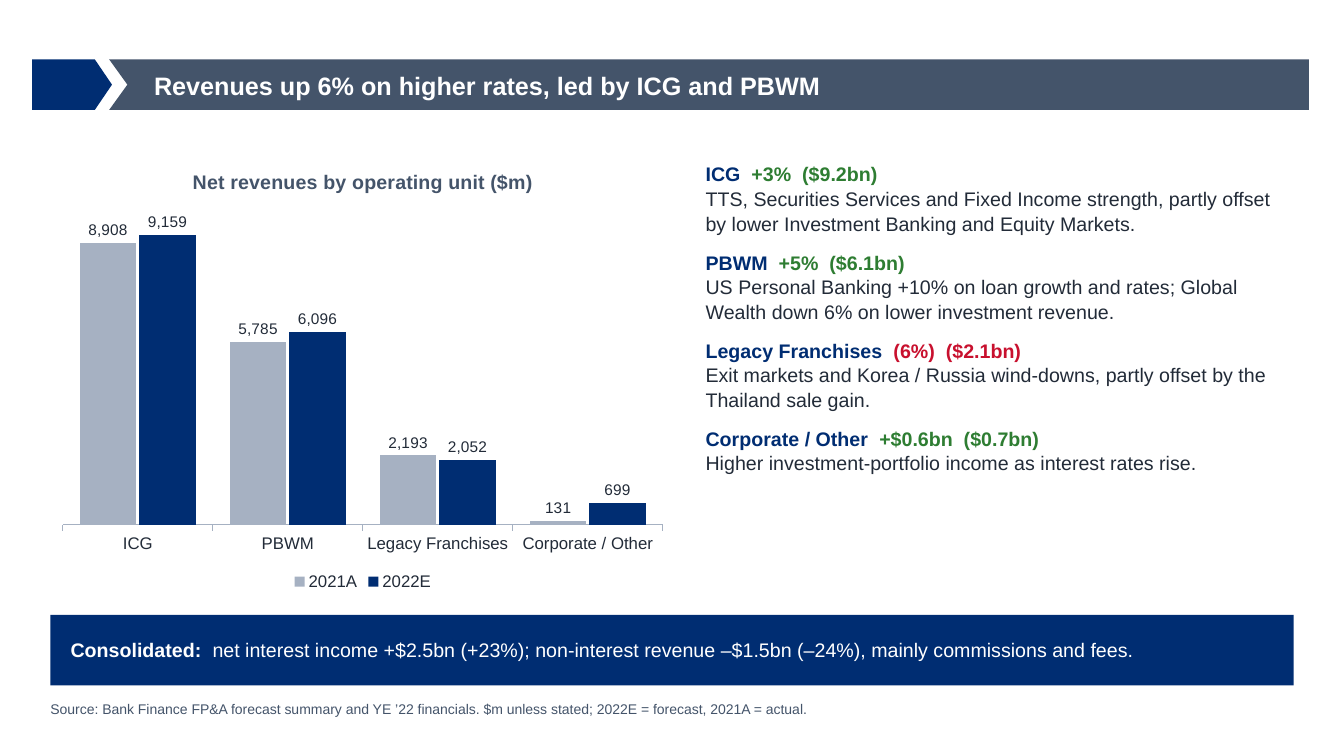
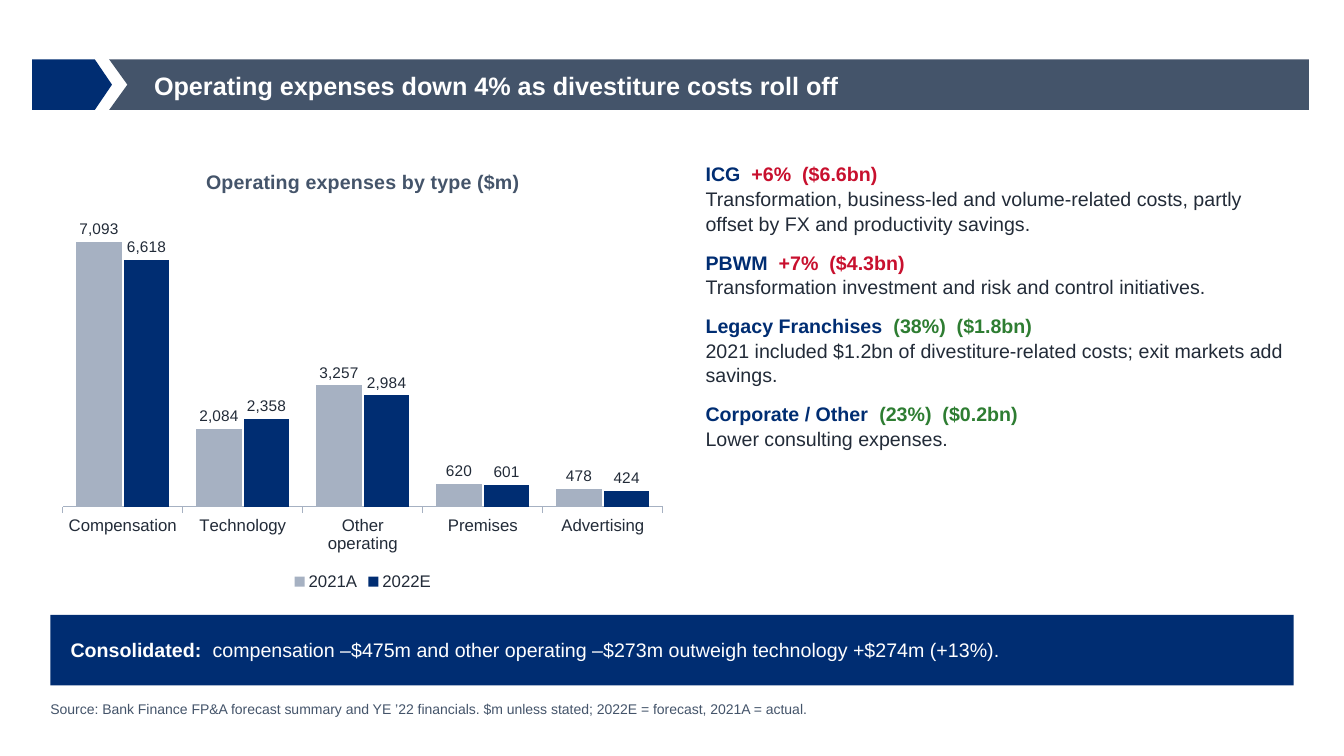
"""Build two slides on 2022 forecast revenues and operating expenses."""
import pptx
import pptx.chart.data
import pptx.dml.color
import pptx.enum.chart
import pptx.enum.shapes
import pptx.enum.text
import pptx.util

Pt = pptx.util.Pt
RGBColor = pptx.dml.color.RGBColor
Anchor = pptx.enum.text.MSO_ANCHOR
AutoSize = pptx.enum.text.MSO_AUTO_SIZE
Shape = pptx.enum.shapes.MSO_SHAPE

NAVY = RGBColor(0x00, 0x2D, 0x72)
SLATE = RGBColor(0x44, 0x54, 0x6A)
STEEL = RGBColor(0xA6, 0xB1, 0xC2)
INK = RGBColor(0x22, 0x2B, 0x38)
GREEN = RGBColor(0x2E, 0x7D, 0x32)
RED = RGBColor(0xC8, 0x10, 0x2E)
WHITE = RGBColor(0xFF, 0xFF, 0xFF)

FONT = "Arial"
MARGIN = 36
BAND_TOP = 42.5
BAND_HEIGHT = 36
SOURCE = ("Source: Bank Finance FP&A forecast summary and YE ’22 financials. "
          "$m unless stated; 2022E = forecast, 2021A = actual.")

NO_INSETS = dict.fromkeys(("margin_left", "margin_top", "margin_right", "margin_bottom"), 0)
TITLE_FRAME = {**NO_INSETS, "vertical_anchor": Anchor.MIDDLE, "word_wrap": True,
               "auto_size": AutoSize.NONE}
TEXT_FRAME = {**NO_INSETS, "word_wrap": True, "auto_size": AutoSize.SHAPE_TO_FIT_TEXT}
BANNER_FRAME = {"margin_left": Pt(14.4), "margin_right": Pt(14.4),
                "margin_top": Pt(8.64), "margin_bottom": Pt(8.64),
                "vertical_anchor": Anchor.MIDDLE, "word_wrap": True}

PAGES = [
    {
        "title": "Revenues up 6% on higher rates, led by ICG and PBWM",
        "chart_title": "Net revenues by operating unit ($m)",
        "categories": ["ICG", "PBWM", "Legacy Franchises", "Corporate / Other"],
        "actual": [8908, 5785, 2193, 131],
        "forecast": [9159, 6096, 2052, 699],
        "drivers": [
            ("ICG", "+3%  ($9.2bn)", GREEN,
             "TTS, Securities Services and Fixed Income strength, partly offset "
             "by lower Investment Banking and Equity Markets."),
            ("PBWM", "+5%  ($6.1bn)", GREEN,
             "US Personal Banking +10% on loan growth and rates; Global Wealth "
             "down 6% on lower investment revenue."),
            ("Legacy Franchises", "(6%)  ($2.1bn)", RED,
             "Exit markets and Korea / Russia wind-downs, partly offset by the "
             "Thailand sale gain."),
            ("Corporate / Other", "+$0.6bn  ($0.7bn)", GREEN,
             "Higher investment-portfolio income as interest rates rise."),
        ],
        "consolidated": "net interest income +$2.5bn (+23%); non-interest revenue "
                        "–$1.5bn (–24%), mainly commissions and fees.",
    },
    {
        "title": "Operating expenses down 4% as divestiture costs roll off",
        "chart_title": "Operating expenses by type ($m)",
        "categories": ["Compensation", "Technology", "Other operating", "Premises",
                       "Advertising"],
        "actual": [7093, 2084, 3257, 620, 478],
        "forecast": [6618, 2358, 2984, 601, 424],
        "drivers": [
            ("ICG", "+6%  ($6.6bn)", RED,
             "Transformation, business-led and volume-related costs, partly "
             "offset by FX and productivity savings."),
            ("PBWM", "+7%  ($4.3bn)", RED,
             "Transformation investment and risk and control initiatives."),
            ("Legacy Franchises", "(38%)  ($1.8bn)", GREEN,
             "2021 included $1.2bn of divestiture-related costs; exit markets "
             "add savings."),
            ("Corporate / Other", "(23%)  ($0.2bn)", GREEN,
             "Lower consulting expenses."),
        ],
        "consolidated": "compensation –$475m and other operating –$273m outweigh "
                        "technology +$274m (+13%).",
    },
]


def set_format(target, formats):
    for name, value in formats.items():
        if name == "color":
            target.color.rgb = value
        else:
            setattr(target, name, value)


def add_text(paragraph, text, color, size=14, bold=False):
    run = paragraph.add_run()
    run.text = text
    set_format(run.font, {"name": FONT, "size": Pt(size), "bold": bold, "color": color})


deck = pptx.Presentation()
deck.slide_width, deck.slide_height = Pt(960), Pt(540)
layout = deck.slide_layouts[5]

for page_number, page in enumerate(PAGES):
    slide = deck.slides.add_slide(layout)

    if page_number == 0:
        marker = slide.shapes.add_shape(Shape.PENTAGON, Pt(23), Pt(BAND_TOP), Pt(57), Pt(BAND_HEIGHT))
        marker.adjustments[0] = 0.34
        bottom = Pt(BAND_TOP + BAND_HEIGHT)
        outline = slide.shapes.build_freeform(Pt(78), Pt(BAND_TOP))
        outline.add_line_segments([
            (Pt(935), Pt(BAND_TOP)), (Pt(935), bottom), (Pt(78), bottom),
            (Pt(91), Pt(BAND_TOP + BAND_HEIGHT / 2))])
        band = outline.convert_to_shape()
        for part, color in ((marker, NAVY), (band, SLATE)):
            part.shadow.inherit = False
            part.fill.solid()
            part.fill.fore_color.rgb = color
            part.line.fill.background()
            layout.shapes._spTree.append(part._element)

    title = slide.shapes.title
    set_format(title, {"left": Pt(110), "top": Pt(44), "width": Pt(755), "height": Pt(34)})
    set_format(title.text_frame, TITLE_FRAME)
    heading = title.text_frame.paragraphs[0]
    heading.alignment = pptx.enum.text.PP_ALIGN.LEFT
    add_text(heading, page["title"], WHITE, 18, True)

    figures = pptx.chart.data.CategoryChartData()
    figures.categories = page["categories"]
    figures.add_series("2021A", page["actual"])
    figures.add_series("2022E", page["forecast"])
    chart = slide.shapes.add_chart(
        pptx.enum.chart.XL_CHART_TYPE.COLUMN_CLUSTERED,
        Pt(MARGIN), Pt(108), Pt(446.4), Pt(316.8), figures).chart
    set_format(chart.font, {"name": FONT, "size": Pt(12), "color": INK})
    chart.has_title = True
    add_text(chart.chart_title.text_frame.paragraphs[0], page["chart_title"], SLATE, 14, True)
    chart.chart_title.include_in_layout = False
    chart.has_legend = True
    set_format(chart.legend, {"position": pptx.enum.chart.XL_LEGEND_POSITION.BOTTOM,
                              "include_in_layout": False})
    chart.legend.font.size = Pt(12)
    set_format(chart.value_axis, {"visible": False, "has_major_gridlines": False})
    set_format(chart.category_axis, {
        "tick_label_position": pptx.enum.chart.XL_TICK_LABEL_POSITION.LOW,
        "major_tick_mark": pptx.enum.chart.XL_TICK_MARK.OUTSIDE,
        "has_major_gridlines": False})
    chart.category_axis.tick_labels.font.size = Pt(12)
    set_format(chart.category_axis.format.line, {"color": STEEL, "width": Pt(0.75)})
    columns = chart.plots[0]
    set_format(columns, {"gap_width": 60, "overlap": -5, "vary_by_categories": False})
    for series, color in zip(columns.series, (STEEL, NAVY)):
        series.format.fill.solid()
        series.format.fill.fore_color.rgb = color
        set_format(series.data_labels, {
            "show_value": True, "number_format": "#,##0;(#,##0)",
            "number_format_is_linked": False,
            "position": pptx.enum.chart.XL_LABEL_POSITION.OUTSIDE_END})
        set_format(series.data_labels.font, {"name": FONT, "size": Pt(11), "color": INK})

    drivers = slide.shapes.add_textbox(Pt(504), Pt(115.2), Pt(420), Pt(316.8)).text_frame
    set_format(drivers, TEXT_FRAME)
    for index, (unit, change, color, reason) in enumerate(page["drivers"]):
        headline = drivers.add_paragraph() if index else drivers.paragraphs[0]
        add_text(headline, unit + "  ", NAVY, bold=True)
        add_text(headline, change, color, bold=True)
        explanation = drivers.add_paragraph()
        add_text(explanation, reason, INK)
        explanation.space_after = Pt(10)
        headline.line_spacing = explanation.line_spacing = 1.05

    banner = slide.shapes.add_shape(Shape.RECTANGLE, Pt(MARGIN), Pt(439.2), Pt(888), Pt(50.4))
    banner.shadow.inherit = False
    banner.fill.solid()
    banner.fill.fore_color.rgb = NAVY
    banner.line.fill.background()
    set_format(banner.text_frame, BANNER_FRAME)
    summary = banner.text_frame.paragraphs[0]
    summary.alignment = pptx.enum.text.PP_ALIGN.LEFT
    add_text(summary, "Consolidated:  ", WHITE, bold=True)
    add_text(summary, page["consolidated"], WHITE)

    source = slide.shapes.add_textbox(Pt(MARGIN), Pt(500.4), Pt(886), Pt(21.6)).text_frame
    set_format(source, TEXT_FRAME)
    add_text(source.paragraphs[0], SOURCE, SLATE, 10)

deck.save("out.pptx")
